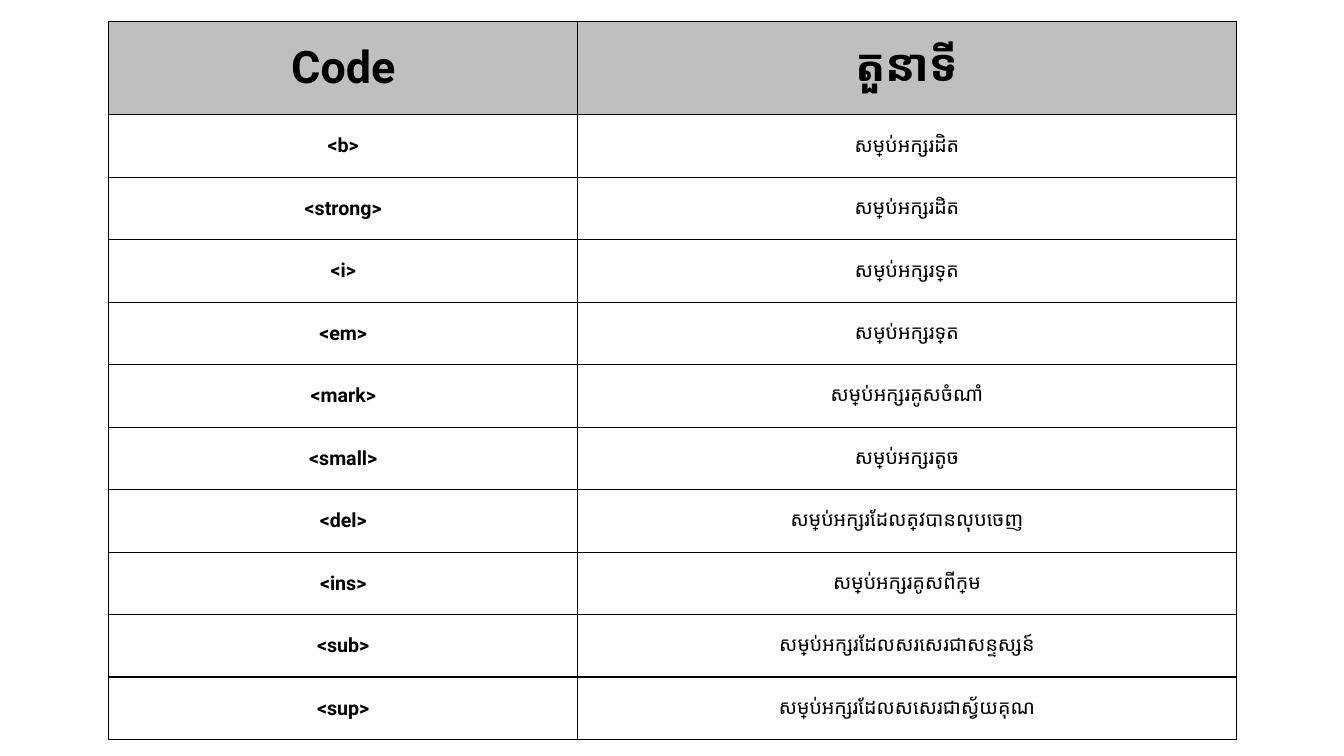
from lxml.etree import SubElement
from pptx import Presentation
from pptx.dml.color import RGBColor
from pptx.enum.text import MSO_ANCHOR, PP_ALIGN
from pptx.oxml.ns import qn
from pptx.util import Inches, Pt

WIDE, HIGH = 13.33, 7.5
LEFT, TOP = 1.08, 0.21
COLS = [4.65, 6.53]
ROW = 0.62
HEAD = 1.5 * ROW
INK, GREY = "000000", "BFBFBF"

TITLE = ("Code", "តួនាទី")
TAGS = [
    ("<b>", "សម្រាប់អក្សរដិត"),
    ("<strong>", "សម្រាប់អក្សរដិត"),
    ("<i>", "សម្រាប់អក្សរទ្រេត"),
    ("<em>", "សម្រាប់អក្សរទ្រេត"),
    ("<mark>", "សម្រាប់អក្សរគូសចំណាំ"),
    ("<small>", "សម្រាប់អក្សរតូច"),
    ("<del>", "សម្រាប់អក្សរដែលត្រូវបានលុបចេញ"),
    ("<ins>", "សម្រាប់អក្សរគូសពីក្រោម"),
    ("<sub>", "សម្រាប់អក្សរដែលសរសេរជាសន្ទស្សន៍"),
    ("<sup>", "សម្រាប់អក្សរដែលសសេរជាស្វ័យគុណ"),
]


def color(code):
    return RGBColor.from_string(code)


def style(item, form):
    for name, value in form.items():
        setattr(item, name, value)


def border(cell):
    props = cell._tc.get_or_add_tcPr()
    for side in ("a:lnL", "a:lnR", "a:lnT", "a:lnB"):
        line = SubElement(props, qn(side), w=str(Pt(1)))
        fill = SubElement(line, qn("a:solidFill"))
        SubElement(fill, qn("a:srgbClr"), val=INK)


def paint(cell, shade):
    if shade:
        cell.fill.solid()
        cell.fill.fore_color.rgb = color(shade)
    else:
        cell.fill.background()


def write(cell, text, size, bold):
    cell.vertical_anchor = MSO_ANCHOR.MIDDLE
    para = cell.text_frame.paragraphs[0]
    para.alignment = PP_ALIGN.CENTER
    run = para.add_run()
    run.text = text
    style(run.font, {"name": "Roboto", "size": Pt(size), "bold": bold})
    run.font.color.rgb = color(INK)


def add_grid(slide, rows):
    tall = [HEAD] + [ROW] * (len(rows) - 1)
    box = [Inches(n) for n in (LEFT, TOP, sum(COLS), sum(tall))]
    grid = slide.shapes.add_table(len(rows), len(COLS), *box).table
    style(grid, {"first_row": False, "horz_banding": False})
    for col, wide in zip(grid.columns, COLS):
        col.width = Inches(wide)
    for row, high in zip(grid.rows, tall):
        row.height = Inches(high)
    for y, texts in enumerate(rows):
        for x, text in enumerate(texts):
            cell = grid.cell(y, x)
            top = y == 0
            border(cell)
            paint(cell, GREY if top else None)
            write(cell, text, 32 if top else 14, top or x == 0)


def main():
    deck = Presentation()
    style(deck, {"slide_width": Inches(WIDE), "slide_height": Inches(HIGH)})
    slide = deck.slides.add_slide(deck.slide_layouts[6])
    add_grid(slide, [TITLE] + TAGS)
    deck.save("out.pptx")


if __name__ == "__main__":
    main()
